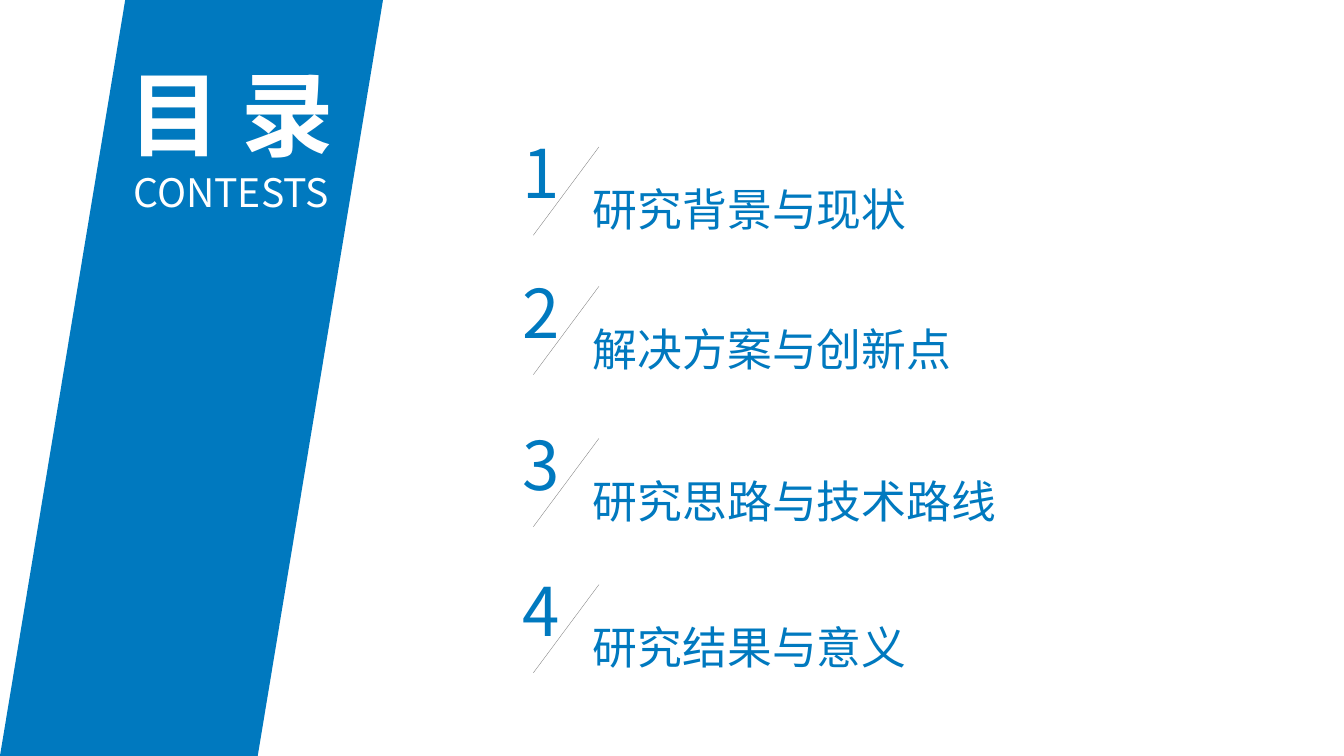
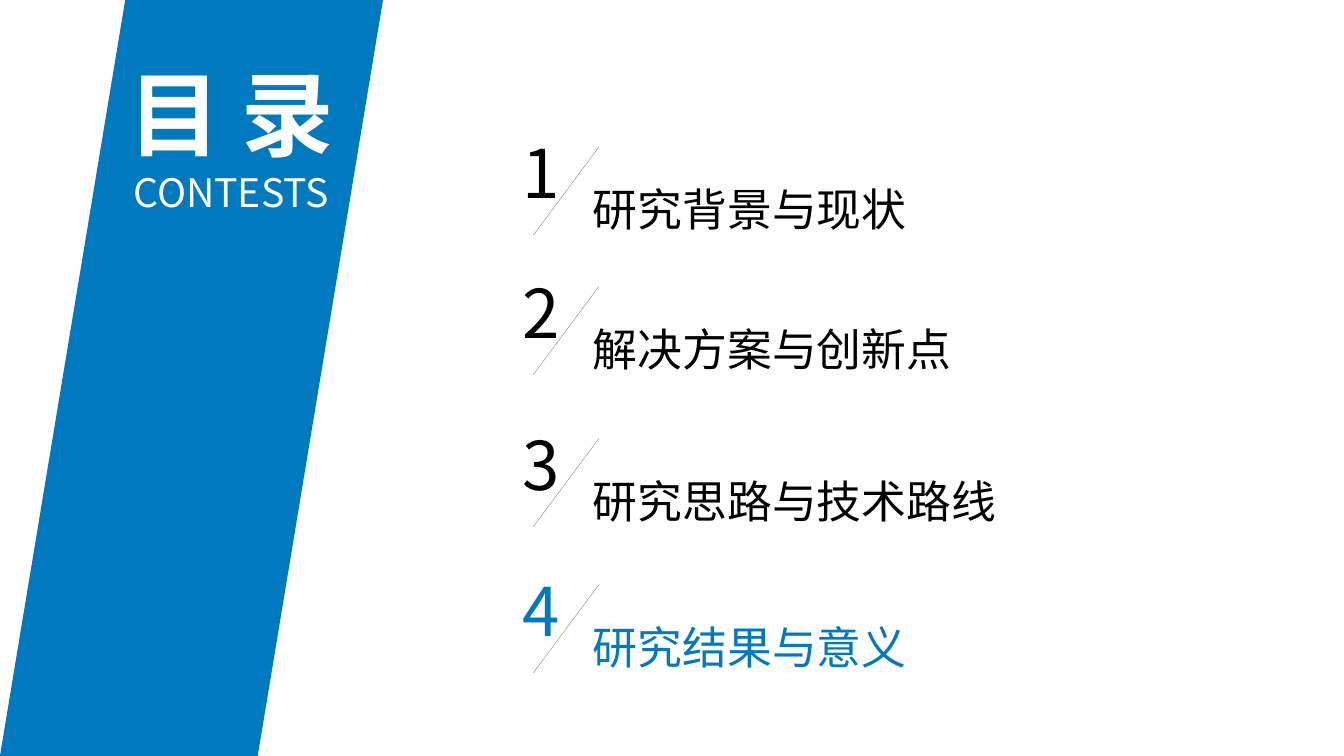
from dataclasses import dataclass

from lxml.etree import SubElement
from pptx import Presentation
from pptx.dml.color import RGBColor
from pptx.enum.shapes import MSO_CONNECTOR as Connector, MSO_SHAPE as Preset
from pptx.enum.text import MSO_ANCHOR as Anchor, MSO_AUTO_SIZE as AutoSize, PP_ALIGN as Align
from pptx.oxml.ns import qn
from pptx.util import Emu, Pt


@dataclass(frozen=True)
class Theme:
    font: str = "Noto Sans CJK SC"
    accent: RGBColor = RGBColor(0x00, 0x79, 0xBF)
    muted: RGBColor = RGBColor(0x00, 0x00, 0x00)
    on_accent: RGBColor = RGBColor(0xFF, 0xFF, 0xFF)
    slash: RGBColor = RGBColor(0x80, 0x80, 0x80)
    title_size: int = 66
    subtitle_size: int = 28
    number_size: int = 48
    topic_size: int = 32
    slash_width: float = 0.25


THEME = Theme()
COLUMNS, ROWS = 160, 90
CELL = 76200  # square grid cell, a twelfth of an inch
TITLE_ONLY = 5

TOPICS = ["研究背景与现状", "解决方案与创新点", "研究思路与技术路线", "研究结果与意义"]
TOPIC_ROWS = [15.1, 31.7, 49.8, 67.2]
TOPIC_COLUMN = 61


def cells(*counts):
    """Turn grid columns or rows into lengths."""
    return [Emu(round(count * CELL)) for count in counts]


def write(paragraph, text, size, color, bold=False, align=Align.LEFT):
    paragraph.alignment = align
    run = paragraph.add_run()
    run.text = text
    formats = {"name": THEME.font, "size": Pt(size), "bold": bold}
    for attribute, value in formats.items():
        setattr(run.font, attribute, value)
    run.font.color.rgb = color
    # East Asian glyphs take their own typeface element
    SubElement(run._r.get_or_add_rPr(), qn("a:ea"), typeface=THEME.font)


def add_label(shapes, box, text, size, color, wrap):
    frame = shapes.add_textbox(*cells(*box)).text_frame
    frame.word_wrap = wrap
    frame.auto_size = AutoSize.SHAPE_TO_FIT_TEXT
    write(frame.paragraphs[0], text, size, color)


def add_slash(shapes, start, end):
    slash = shapes.add_connector(Connector.STRAIGHT, *cells(*start, *end))
    slash.line.color.rgb = THEME.slash
    slash.line.width = Pt(THEME.slash_width)
    SubElement(slash.element.spPr, qn("a:effectLst"))


def add_title_band(slide, left, top, width, height):
    # Slanted band
    band = slide.shapes.add_shape(Preset.PARALLELOGRAM, *cells(left, top, width, height))
    band.adjustments[0] = 0.327
    band.shadow.inherit = False
    band.fill.solid()
    band.fill.fore_color.rgb = THEME.accent
    band.line.fill.background()

    # Title, lifted above the band
    title = slide.shapes.title
    band.element.addnext(title.element)
    place = cells(left + 11.8, top + 7.6, 31.4, 17.2)
    for side, length in zip(("left", "top", "width", "height"), place):
        setattr(title, side, length)
    frame = title.text_frame
    formats = {"word_wrap": True, "auto_size": AutoSize.NONE, "vertical_anchor": Anchor.MIDDLE}
    for attribute, value in formats.items():
        setattr(frame, attribute, value)
    write(frame.paragraphs[0], "目 录", THEME.title_size, THEME.on_accent, True, Align.CENTER)
    write(frame.add_paragraph(), "CONTESTS", THEME.subtitle_size, THEME.on_accent,
          align=Align.CENTER)


def add_topic(slide, left, top, number, topic, color):
    """Number, slash and topic as one group."""
    shapes = slide.shapes.add_group_shape().shapes
    add_label(shapes, (left, top, 7.2, 10.9), str(number), THEME.number_size, color, False)
    add_slash(shapes, (left + 10.3, top + 2.4), (left + 2.5, top + 12.9))
    add_label(shapes, (left + 8.4, top + 6, 55.7, 7.7), topic, THEME.topic_size, color, True)


def add_contents_slide(deck, highlighted):
    slide = deck.slides.add_slide(deck.slide_layouts[TITLE_ONLY])
    add_title_band(slide, 0, 0, 45.6, ROWS)
    for number, (topic, row) in enumerate(zip(TOPICS, TOPIC_ROWS), start=1):
        color = THEME.accent if number in highlighted else THEME.muted
        add_topic(slide, TOPIC_COLUMN, row, number, topic, color)


def main():
    deck = Presentation()
    deck.slide_width, deck.slide_height = cells(COLUMNS, ROWS)
    add_contents_slide(deck, highlighted={1, 2, 3, 4})
    add_contents_slide(deck, highlighted={4})
    deck.save("out.pptx")


if __name__ == "__main__":
    main()
